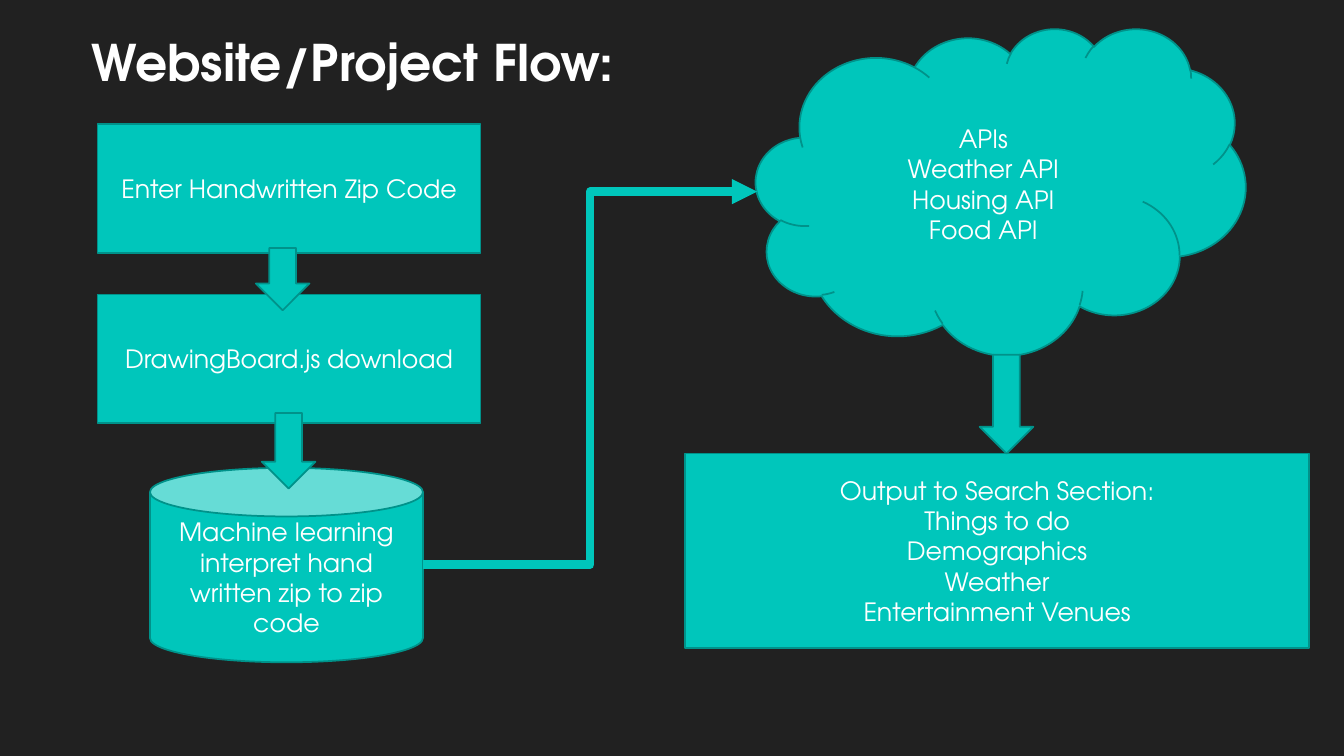
import dataclasses

import lxml.etree
import pptx
import pptx.dml.color
import pptx.enum.shapes
import pptx.enum.text
import pptx.oxml.ns
import pptx.util

Cm = pptx.util.Cm
Pt = pptx.util.Pt
Shape = pptx.enum.shapes.MSO_SHAPE
Align = pptx.enum.text.PP_ALIGN
Anchor = pptx.enum.text.MSO_ANCHOR


def rgb(code):
    """Return a colour from its hexadecimal code."""
    return pptx.dml.color.RGBColor.from_string(code)


@dataclasses.dataclass(frozen=True)
class Theme:
    """Colours, font, type sizes and line widths of the slide."""
    background: str = "212121"
    accent: str = "00C6BB"
    outline: str = "00928A"
    text: str = "FFFFFF"
    font: str = "TeX Gyre Adventor"
    title_size: int = 36
    body_size: int = 18
    outline_width: float = 1.25
    flow_width: float = 6


THEME = Theme()


def set_format(target, values):
    """Set each attribute of target from a dict of values."""
    for name, value in values.items():
        setattr(target, name, value)


def write_text(shape, text, size, bold, align, frame_format):
    """Write text, one paragraph a line, in the theme's font."""
    frame = shape.text_frame
    frame.text = text
    set_format(frame, frame_format)
    for para in frame.paragraphs:
        para.alignment = align
        for span in para.runs:
            set_format(span.font, {"name": THEME.font, "size": Pt(size), "bold": bold})
            span.font.color.rgb = rgb(THEME.text)


def add_title(page, text, left, top, width, height):
    """Fill and place the title placeholder."""
    title = page.shapes.title
    set_format(title, {"left": Cm(left), "top": Cm(top),
                       "width": Cm(width), "height": Cm(height)})
    write_text(title, text, THEME.title_size, True, Align.LEFT,
               {"word_wrap": False, "vertical_anchor": Anchor.TOP,
                "auto_size": pptx.enum.text.MSO_AUTO_SIZE.NONE})


def add_step(page, kind, left, top, width, height, text=""):
    """Add an outlined accent shape, with centred text if any."""
    step = page.shapes.add_shape(kind, Cm(left), Cm(top), Cm(width), Cm(height))
    step.shadow.inherit = False
    step.fill.solid()
    step.fill.fore_color.rgb = rgb(THEME.accent)
    step.line.color.rgb = rgb(THEME.outline)
    step.line.width = Pt(THEME.outline_width)
    if text:
        write_text(step, text, THEME.body_size, False, Align.CENTER,
                   {"word_wrap": True, "vertical_anchor": Anchor.MIDDLE})
    return step


def add_down_arrow(page, left, top, height):
    """Add a block arrow that leads down to the next step."""
    return add_step(page, Shape.DOWN_ARROW, left, top, 1.35, height)


def add_elbow_arrow(page, start, end):
    """Add a thick bent connector with an arrowhead at its end."""
    arrow = page.shapes.add_connector(pptx.enum.shapes.MSO_CONNECTOR.ELBOW,
                                      *(Cm(length) for length in (*start, *end)))
    arrow.line.color.rgb = rgb(THEME.accent)
    arrow.line.width = Pt(THEME.flow_width)
    qn = pptx.oxml.ns.qn
    outline = arrow.line._get_or_add_ln()
    lxml.etree.SubElement(outline, qn("a:round"))
    lxml.etree.SubElement(outline, qn("a:tailEnd"), type="triangle")
    lxml.etree.SubElement(arrow._element.spPr, qn("a:effectLst"))


def main():
    """Build the slide and save it."""
    deck = pptx.Presentation()
    set_format(deck, {"slide_width": Cm(33.87), "slide_height": Cm(19.05)})
    page = deck.slides.add_slide(deck.slide_layouts.get_by_name("Title Only"))
    page.background.fill.solid()
    page.background.fill.fore_color.rgb = rgb(THEME.background)

    add_title(page, "Website/Project Flow:", 2.06, 0.66, 13.79, 1.8)

    add_step(page, Shape.CLOUD, 19.05, 0.71, 12.34, 8.23,
             "APIs\nWeather API\nHousing API\nFood API")
    for row, text in enumerate(("Enter Handwritten Zip Code", "DrawingBoard.js download")):
        add_step(page, Shape.RECTANGLE, 2.46, 3.12 + row * 4.3, 9.65, 3.25, text)
    add_step(page, Shape.CAN, 3.78, 11.79, 6.88, 4.9,
             "Machine learning interpret hand written zip to zip code")
    add_step(page, Shape.RECTANGLE, 17.27, 11.43, 15.72, 4.9,
             "Output to Search Section:\nThings to do\nDemographics\n"
             "Weather\nEntertainment Venues")

    for left, top, height in ((6.45, 6.25, 1.57), (6.6, 10.41, 1.9), (24.69, 8.94, 2.49)):
        add_down_arrow(page, left, top, height)
    add_elbow_arrow(page, (10.67, 14.23), (19.08, 4.83))

    deck.save("out.pptx")


main()
